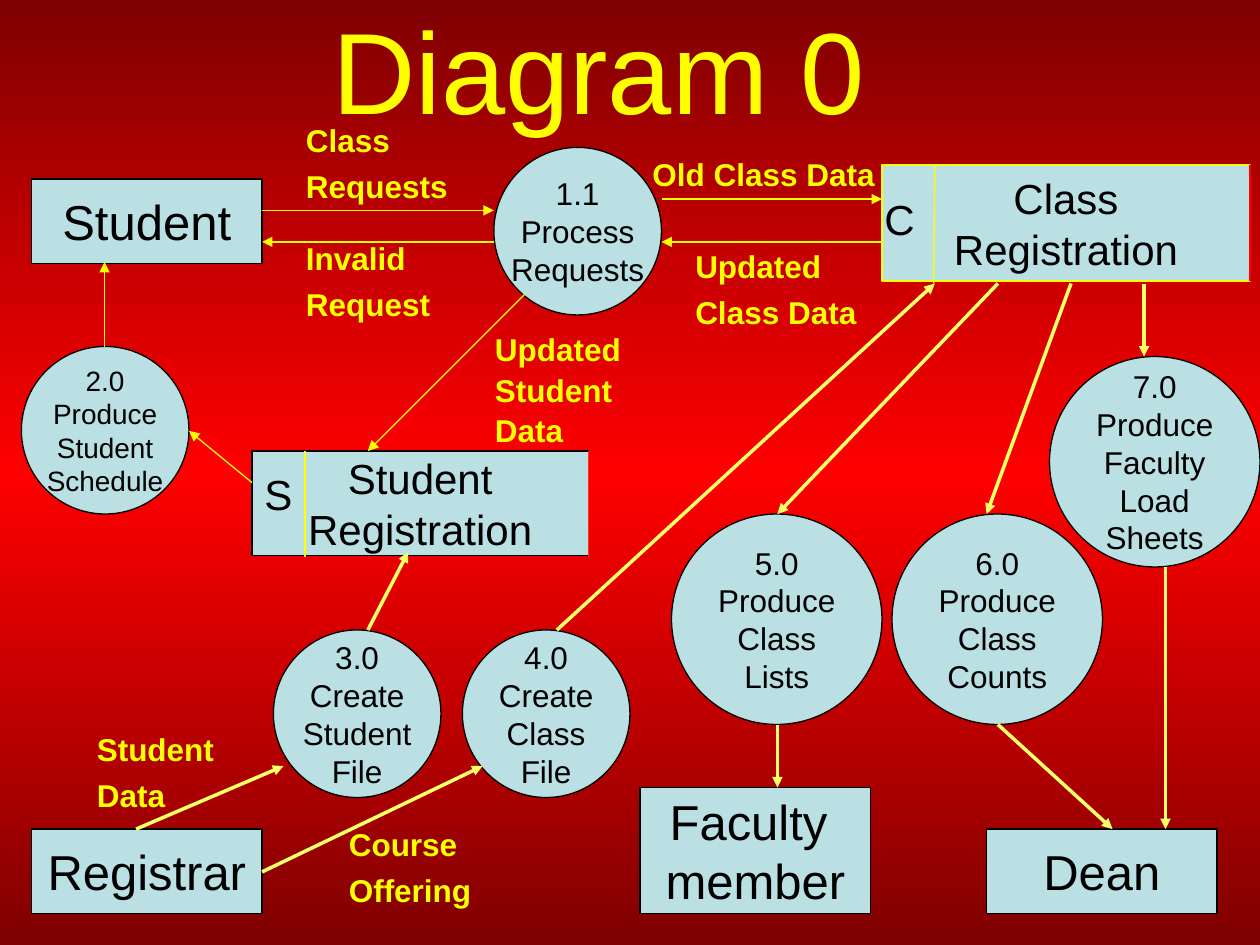
import copy
import pptx
import pptx.util
import pptx.dml.color
import pptx.enum.shapes
import pptx.enum.text
import pptx.oxml.ns
import pptx.oxml.xmlchemy
from pptx.util import Inches

COLORS = {"edge": "7F0000", "middle": "FF0000", "node": "BBE0E3", "ink": "000000",
          "yellow": "FFFF00", "pale": "FFFF66", "orange": "FF3300"}
RGB = {name: pptx.dml.color.RGBColor.from_string(value) for name, value in COLORS.items()}
ANCHOR = pptx.enum.text.MSO_ANCHOR
ALIGN = pptx.enum.text.PP_ALIGN
SHAPE = pptx.enum.shapes.MSO_SHAPE
qn = pptx.oxml.ns.qn


def write(frame, text, size, color, frame_format, paragraph_format, bold=False, gap=0):
    for key, value in frame_format.items():
        setattr(frame, key, value)
    for index, line in enumerate(text.split("\n")):
        paragraph = frame.paragraphs[0] if index == 0 else frame.add_paragraph()
        for key, value in paragraph_format.items():
            setattr(paragraph, key, value)
        if index:
            paragraph.space_before = pptx.util.Pt(gap)
        run = paragraph.add_run()
        run.text = line
        for key, value in {"name": "Arial", "size": pptx.util.Pt(size), "bold": bold}.items():
            setattr(run.font, key, value)
        run.font.color.rgb = RGB[color]


def connect(start, end, color, width, arrow):
    flow = slide.shapes.add_connector(pptx.enum.shapes.MSO_CONNECTOR.STRAIGHT,
                                      *map(Inches, start + end))
    flow.line.color.rgb = RGB[color]
    flow.line.width = pptx.util.Pt(width)
    if arrow:
        tail = pptx.oxml.xmlchemy.OxmlElement("a:tailEnd")
        tail.set("type", "triangle")
        flow.line._get_or_add_ln().append(tail)
    flow._element.spPr.append(pptx.oxml.xmlchemy.OxmlElement("a:effectLst"))


deck = pptx.Presentation()
deck.slide_width, deck.slide_height = Inches(10), Inches(7.5)
slide = deck.slides.add_slide(deck.slide_layouts[6])

backdrop = slide.background.fill
backdrop.gradient()
backdrop.gradient_angle = 90
stop_list = slide._element.find(".//" + qn("a:gsLst"))
stop_list.append(copy.deepcopy(stop_list[0]))
for stop, position, color in zip(backdrop.gradient_stops, (0, 0.5, 1), ("edge", "middle", "edge")):
    stop.position = position
    stop.color.rgb = RGB[color]

centred = {"alignment": ALIGN.CENTER}
title = slide.shapes.add_textbox(Inches(0), Inches(-0.08), Inches(9.5), Inches(1.25))
write(title.text_frame, "Diagram 0", 66, "yellow",
      {"word_wrap": True, "vertical_anchor": ANCHOR.MIDDLE}, centred)

small, large = (1.33, 1.33), (1.67, 1.67)
entity = (1.83, 0.67)
nodes = [
    (SHAPE.OVAL, 3.92, 1.17, small, "1.1\nProcess\nRequests", 18, "ink"),
    (SHAPE.OVAL, 0.17, 2.75, small, "2.0\nProduce\nStudent\nSchedule", 16, "ink"),
    (SHAPE.OVAL, 2.17, 5, small, "3.0\nCreate\nStudent\nFile", 18, "ink"),
    (SHAPE.OVAL, 3.67, 5, small, "4.0\nCreate\nClass\nFile", 18, "ink"),
    (SHAPE.OVAL, 5.33, 4.08, large, "5.0\nProduce\nClass\nLists", 18, "ink"),
    (SHAPE.OVAL, 7.08, 4.08, large, "6.0\nProduce\nClass\nCounts", 18, "ink"),
    (SHAPE.OVAL, 8.33, 2.83, large, "7.0\nProduce\nFaculty\nLoad\nSheets", 18, "ink"),
    (SHAPE.RECTANGLE, 0.25, 1.42, entity, "Student", 28, "ink"),
    (SHAPE.RECTANGLE, 0.25, 6.58, entity, "Registrar", 28, "ink"),
    (SHAPE.RECTANGLE, 5.08, 6.25, (1.83, 1), "Faculty \nmember", 28, "ink"),
    (SHAPE.RECTANGLE, 7.83, 6.58, entity, "Dean", 28, "ink"),
    (SHAPE.RECTANGLE, 7, 1.31, (2.92, 0.92), "Class\nRegistration", 24, "yellow"),
    (SHAPE.RECTANGLE, 2, 3.58, (2.67, 0.83), "Student\nRegistration", 24, "ink"),
]
for kind, left, top, extent, text, size, outline in nodes:
    node = slide.shapes.add_shape(kind, *map(Inches, (left, top) + extent))
    node.shadow.inherit = False
    node.fill.solid()
    node.fill.fore_color.rgb = RGB["node"]
    node.line.color.rgb = RGB[outline]
    node.line.width = pptx.util.Pt(0.75)
    write(node.text_frame, text, size, "ink",
          {"word_wrap": False, "vertical_anchor": ANCHOR.MIDDLE}, centred)

store_rules = [
    ((7.42, 1.31), (7.41, 2.25), "yellow"),
    ((9.92, 1.31), (9.92, 2.23), "middle"),
    ((2.42, 3.58), (2.42, 4.42), "yellow"),
    ((4.67, 3.58), (4.67, 4.42), "orange"),
]
for start, end, color in store_rules:
    connect(start, end, color, 0.75, False)

request_flows = [
    ((2.08, 1.67), (3.92, 1.67)),
    ((3.92, 1.92), (2.08, 1.92)),
    ((5.25, 1.58), (7, 1.58)),
    ((7, 1.92), (5.25, 1.92)),
    ((4.17, 2.33), (2.92, 3.58)),
    ((0.83, 2.75), (0.83, 2.08)),
    ((2, 3.83), (1.5, 3.42)),
]
file_flows = [
    ((9.08, 2.25), (9.08, 2.83)),
    ((8.5, 2.25), (7.83, 4.08)),
    ((7.92, 2.25), (6.17, 4.08)),
    ((2.08, 6.92), (3.83, 6.08)),
    ((4.42, 5), (7.42, 2.25)),
    ((9.25, 4.5), (9.25, 6.58)),
    ((7.92, 5.75), (8.83, 6.58)),
    ((6.17, 5.75), (6.17, 6.25)),
    ((1.08, 6.58), (2.25, 6.08)),
    ((2.92, 5), (3.24, 4.38)),
]
for flows, color, width in ((request_flows, "yellow", 0.75), (file_flows, "pale", 2)):
    for start, end in flows:
        connect(start, end, color, width, True)

labels = [
    (2.33, 0.99, 1.33, 0.68, "Class\nRequests", 0.7, 18, "yellow"),
    (2.33, 1.93, 1.67, 0.68, "Invalid\nRequest", 0.7, 18, "yellow"),
    (5.08, 1.18, 2.67, 0.4, "Old Class Data", 1.0, 18, "yellow"),
    (5.42, 1.99, 2.67, 0.68, "Updated\nClass Data", 0.7, 18, "yellow"),
    (3.83, 2.69, 1.58, 0.91, "Updated\nStudent\nData", 0.55, 18, "yellow"),
    (0.67, 5.83, 1.25, 0.68, "Student\nData", 0.7, 18, "yellow"),
    (2.67, 6.58, 1.25, 0.68, "Course\nOffering", 0.7, 18, "yellow"),
    (6.92, 1.49, 0.42, 0.5, "C", 1.0, 24, "ink"),
    (2, 3.67, 0.5, 0.5, "S", 1.0, 24, "ink"),
]
for left, top, width, height, text, spacing, size, color in labels:
    label = slide.shapes.add_textbox(*map(Inches, (left, top, width, height)))
    write(label.text_frame, text, size, color, {"word_wrap": True},
          {"line_spacing": spacing}, bold=color == "yellow", gap=11.2)

deck.save("out.pptx")
